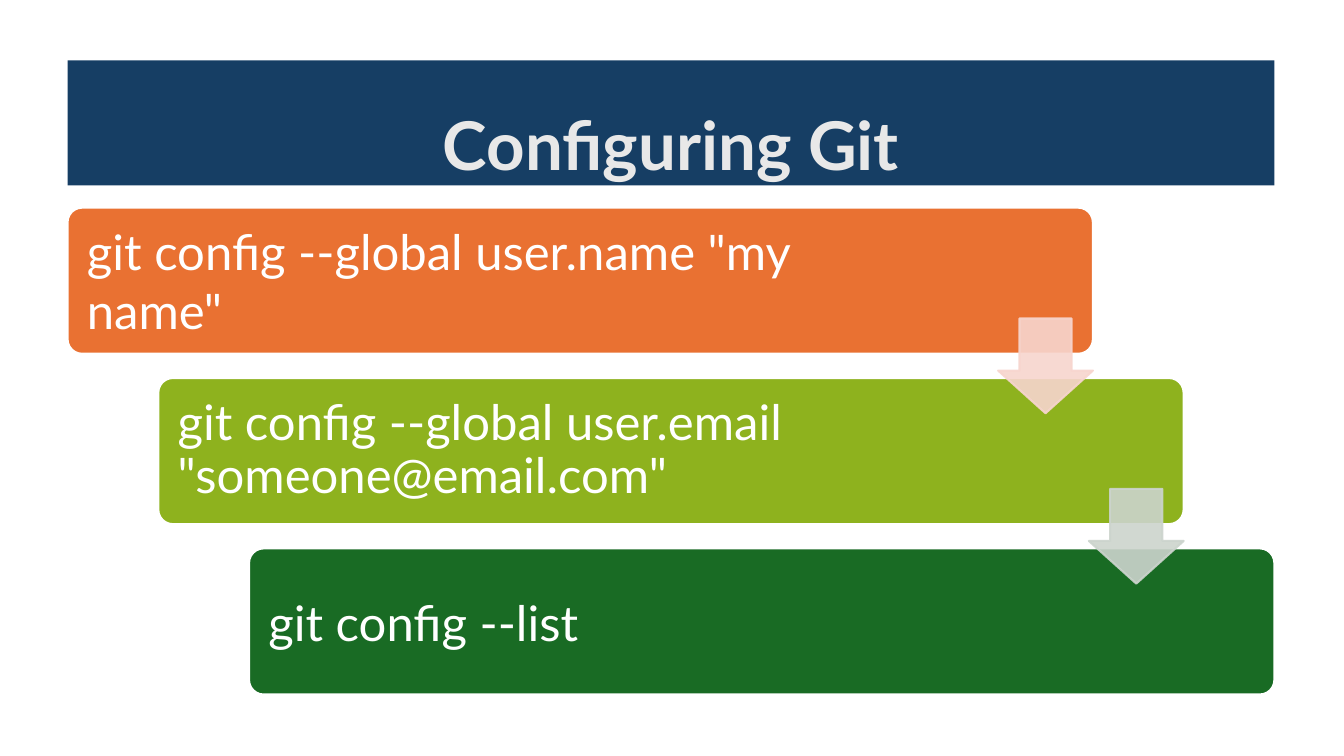
"""Build the "Configuring Git" slide: a title band above a staircase of commands."""
import lxml.etree
import pptx
import pptx.dml.color
import pptx.enum.shapes
import pptx.enum.text
import pptx.oxml.ns
import pptx.util

RGBColor = pptx.dml.color.RGBColor
Inches = pptx.util.Inches
Pt = pptx.util.Pt
MSO_SHAPE = pptx.enum.shapes.MSO_SHAPE
MSO_ANCHOR = pptx.enum.text.MSO_ANCHOR
PP_ALIGN = pptx.enum.text.PP_ALIGN

NAVY = RGBColor(0x16, 0x3E, 0x64)
PALE_GRAY = RGBColor(0xE8, 0xE8, 0xE8)
WHITE = RGBColor(0xFF, 0xFF, 0xFF)
ORANGE = RGBColor(0xE9, 0x71, 0x32)
LIME = RGBColor(0x8E, 0xB2, 0x1E)
GREEN = RGBColor(0x19, 0x6B, 0x24)
PINK = RGBColor(0xF7, 0xD5, 0xCE)
GRAY_GREEN = RGBColor(0xCC, 0xD4, 0xCD)

FONT = "Lato"
MARGIN = 0.67
CONTENT_WIDTH = 11.97
STEPS_TOP = 2.06
COLUMN = 0.9
ROW = 1.69
STEP_WIDTH = CONTENT_WIDTH - 2 * COLUMN
STEP_HEIGHT = 1.45
ARROW_SIZE = 0.94
ARROW_DROP = 1.1

STEPS = [
    ('git config --global user.name "my name"', ORANGE, 1.63, 1.0),
    ('git config --global user.email "someone@email.com"', LIME, 1.99, 0.9),
    ("git config --list", GREEN, 1.99, 1.0),
]
ARROW_COLORS = [PINK, GRAY_GREEN]


def step_corner(index):
    """Return the left and top of a stair step in inches."""
    return MARGIN + index * COLUMN, STEPS_TOP + index * ROW


def style_text(paragraph, size, color, line_spacing):
    """Set the font and line spacing of a paragraph."""
    paragraph.font.name = FONT
    paragraph.font.size = Pt(size)
    paragraph.font.color.rgb = color
    paragraph.line_spacing = line_spacing


def add_filled_shape(slide, kind, box, adjustments, fill, line):
    """Add a flat preset shape with a solid fill and a thin outline."""
    shape = slide.shapes.add_shape(kind, *map(Inches, box))
    shape.shadow.inherit = False
    for position, value in enumerate(adjustments):
        shape.adjustments[position] = value
    shape.fill.solid()
    shape.fill.fore_color.rgb = fill
    shape.line.color.rgb = line
    shape.line.width = Pt(1.5)
    return shape


def set_title(slide, text):
    """Turn the title placeholder into a navy band."""
    title = slide.shapes.title
    title.left, title.top = Inches(MARGIN), Inches(0.6)
    title.width, title.height = Inches(CONTENT_WIDTH), Inches(1.24)
    title.fill.solid()
    title.fill.fore_color.rgb = NAVY
    frame = title.text_frame
    frame.text = text
    frame.vertical_anchor = MSO_ANCHOR.MIDDLE
    frame.auto_size = pptx.enum.text.MSO_AUTO_SIZE.NONE
    paragraph = frame.paragraphs[0]
    paragraph.alignment = PP_ALIGN.CENTER
    paragraph.font.bold = True
    style_text(paragraph, 48, PALE_GRAY, 1.5)


def add_step(slide, index, command, fill, right_inset, line_spacing):
    """Add one rounded command box to the staircase."""
    box = (*step_corner(index), STEP_WIDTH, STEP_HEIGHT)
    shape = add_filled_shape(slide, MSO_SHAPE.ROUNDED_RECTANGLE, box, [0.1], fill, WHITE)
    frame = shape.text_frame
    frame.word_wrap = True
    frame.vertical_anchor = MSO_ANCHOR.MIDDLE
    frame.margin_left, frame.margin_right = Inches(0.15), Inches(right_inset)
    frame.margin_top = frame.margin_bottom = 0
    frame.text = command
    paragraph = frame.paragraphs[0]
    paragraph.alignment = PP_ALIGN.LEFT
    style_text(paragraph, 35, WHITE, line_spacing)


def add_arrow(slide, index, color):
    """Add a translucent arrow leading from a step to the next one."""
    left, top = step_corner(index)
    box = (left + STEP_WIDTH - ARROW_SIZE, top + ARROW_DROP, ARROW_SIZE, ARROW_SIZE)
    arrow = add_filled_shape(slide, MSO_SHAPE.DOWN_ARROW, box, [0.55, 0.45], color, color)
    qualified = pptx.oxml.ns.qn
    for color_element in arrow.element.spPr.iter(qualified("a:srgbClr")):
        lxml.etree.SubElement(color_element, qualified("a:alpha"), val="90000")


def main():
    """Build and save the slide."""
    presentation = pptx.Presentation()
    presentation.slide_width = Inches(13.33)
    presentation.slide_height = Inches(7.5)
    slide = presentation.slides.add_slide(presentation.slide_layouts[5])
    set_title(slide, "Configuring Git")
    for index, step in enumerate(STEPS):
        add_step(slide, index, *step)
    for index, color in enumerate(ARROW_COLORS):
        add_arrow(slide, index, color)
    presentation.save("out.pptx")


if __name__ == "__main__":
    main()
